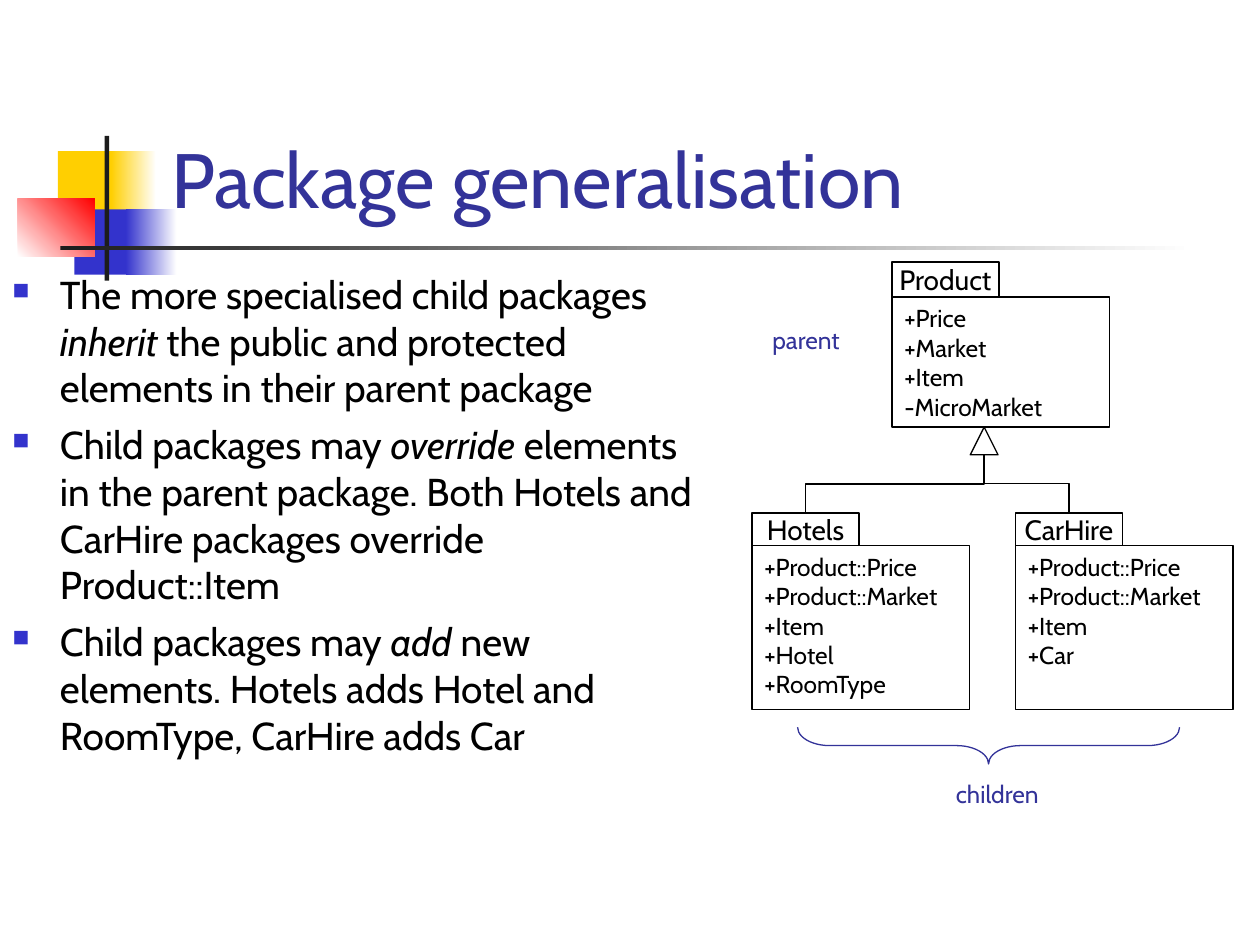
from dataclasses import dataclass

import pptx
import pptx.dml.color
import pptx.enum.shapes
import pptx.enum.text
import pptx.oxml
import pptx.oxml.ns
import pptx.util
from pptx.util import Cm, Pt

FONT = "Cabin"
BLACK, WHITE, DARK = "000000", "FFFFFF", "1C1C1C"
INDIGO, BLUE, YELLOW, RED = "333399", "3333CC", "FFCF01", "FF0000"

SHAPES = pptx.enum.shapes.MSO_SHAPE
ANCHOR = pptx.enum.text.MSO_ANCHOR
ALIGN = pptx.enum.text.PP_ALIGN

PACKAGE_WIDTH, TAB_WIDTH = 4.39, 2.16


@dataclass
class Area:
    """Left, top, width and height in centimetres."""
    left: float
    top: float
    width: float
    height: float

    def lengths(self) -> list:
        return [Cm(n) for n in (self.left, self.top, self.width, self.height)]


@dataclass
class Ornament:
    area: Area
    start: str
    end: str = ""
    angle: float = 0


@dataclass
class Package:
    name: str
    left: float
    top: float
    tab_height: float
    height: float
    members: list[str]


@dataclass
class Label:
    words: str
    area: Area


ORNAMENTS = [
    Ornament(Area(1.17, 3.05, 1.22, 1.32), YELLOW),
    Ornament(Area(2.24, 3.05, 0.91, 1.32), YELLOW, WHITE),
    Ornament(Area(1.5, 4.22, 1.17, 1.32), BLUE),
    Ornament(Area(2.54, 4.22, 1.02, 1.32), BLUE, WHITE),
    Ornament(Area(0.36, 4.01, 1.55, 1.17), WHITE, RED, 45),
    Ornament(Area(2.11, 2.74, 0.09, 2.92), DARK),
    Ornament(Area(1.22, 4.95, 22.86, 0.09), DARK, WHITE),
]

# Each bullet is plain text, an italic word, then plain text.
BULLETS = [
    ("The more specialised child packages ", "inherit",
     " the public and protected elements in their parent package"),
    ("Child packages may ", "override",
     " elements in the parent package. Both Hotels and CarHire packages"
     " override Product::Item"),
    ("Child packages may ", "add",
     " new elements. Hotels adds Hotel and RoomType, CarHire adds Car"),
]

INHERITED = ["+Product::Price", "+Product::Market", "+Item"]
PARENT = Package("Product", 17.98, 5.28, 0.71, 2.62,
                 ["+Price", "+Market", "+Item", "-MicroMarket"])
CHILDREN = [
    Package("Hotels", 15.16, 10.34, 0.66, 3.3,
            INHERITED + ["+Hotel", "+RoomType"]),
    Package("CarHire", 20.47, 10.34, 0.66, 3.3, INHERITED + ["+Car"]),
]
LABELS = [
    Label("children", Area(17.17, 15.57, 5.87, 0.86)),
    Label("parent", Area(14.6, 6.43, 3.3, 0.86)),
]
ARROW = Area(19.56, 8.61, 0.56, 0.56)
BRACE = Area(19.56, 11.18, 0.74, 7.7)


def color(value: str) -> pptx.dml.color.RGBColor:
    return pptx.dml.color.RGBColor.from_string(value)


def style_text(frame, size: float, value: str, align=ALIGN.LEFT) -> None:
    for para in frame.paragraphs:
        para.alignment = align
        for span in para.runs:
            span.font.name = FONT
            span.font.size = Pt(size)
            span.font.color.rgb = color(value)


def add_outline(page, kind, area: Area, value: str = BLACK):
    """Add an unfilled shape with a thin line."""
    shape = page.shapes.add_shape(kind, *area.lengths())
    shape.shadow.inherit = False
    shape.fill.background()
    shape.line.color.rgb = color(value)
    shape.line.width = Pt(0.75)
    return shape


def add_ornament(page, ornament: Ornament) -> None:
    shape = page.shapes.add_shape(SHAPES.RECTANGLE, *ornament.area.lengths())
    shape.shadow.inherit = False
    shape.line.fill.background()
    if not ornament.end:
        shape.fill.solid()
        shape.fill.fore_color.rgb = color(ornament.start)
        return
    shape.fill.gradient()
    shape.fill.gradient_angle = ornament.angle
    for stop, value in zip(shape.fill.gradient_stops, (ornament.start, ornament.end)):
        stop.color.rgb = color(value)


def add_text(page, area: Area, words: str):
    frame = page.shapes.add_textbox(*area.lengths()).text_frame
    frame.word_wrap = True
    frame.text = words
    return frame


def add_bullet_mark(para) -> None:
    properties = para._p.get_or_add_pPr()
    properties.set("marL", str(Cm(0.96)))
    properties.set("indent", str(Cm(-0.96)))
    namespace = pptx.oxml.ns.nsdecls("a")
    for mark in (
        f'<a:buClr {namespace}><a:srgbClr val="{BLUE}"/></a:buClr>',
        f'<a:buSzPct {namespace} val="60000"/>',
        f'<a:buChar {namespace} char="■"/>',
    ):
        properties.append(pptx.oxml.parse_xml(mark))


def add_bullets(page) -> None:
    frame = add_text(page, Area(0, 5.33, 14.33, 12.88), "")
    for index, parts in enumerate(BULLETS):
        para = frame.add_paragraph() if index else frame.paragraphs[0]
        para.space_before = Pt(6)
        add_bullet_mark(para)
        for position, words in enumerate(parts):
            span = para.add_run()
            span.text = words
            span.font.italic = position == 1
    style_text(frame, 22.2, BLACK)


def add_package(page, package: Package) -> None:
    body_top = package.top + package.tab_height
    body = Area(package.left, body_top, PACKAGE_WIDTH, package.height)
    tab = Area(package.left, package.top, TAB_WIDTH, package.tab_height)
    for area, words, size, align, anchor in (
        (body, "\n".join(package.members), 14, ALIGN.LEFT, ANCHOR.TOP),
        (tab, package.name, 16, ALIGN.CENTER, ANCHOR.MIDDLE),
    ):
        frame = add_outline(page, SHAPES.RECTANGLE, area).text_frame
        frame.word_wrap = False
        frame.vertical_anchor = anchor
        frame.text = words
        style_text(frame, size, BLACK, align)


def add_generalisation(page, child: Package) -> None:
    """Join a child's tab to the arrow with a vertical-first elbow."""
    start_x, start_y = child.left + TAB_WIDTH / 2, child.top
    end_x, end_y = ARROW.left + ARROW.width / 2, ARROW.top + ARROW.height
    middle_x, middle_y = (start_x + end_x) / 2, (start_y + end_y) / 2
    side = 1 if end_x > start_x else -1
    across = side * (start_y - end_y) / 2
    along = abs(end_x - start_x) / 2
    connector = page.shapes.add_connector(
        pptx.enum.shapes.MSO_CONNECTOR.ELBOW,
        Cm(middle_x + across), Cm(middle_y + along),
        Cm(middle_x - across), Cm(middle_y - along))
    connector.line.color.rgb = color(BLACK)
    connector.line.width = Pt(0.75)
    properties = connector._element.spPr
    properties.find(pptx.oxml.ns.qn("a:xfrm")).set("rot", str(side * 90 % 360 * 60000))
    properties.append(pptx.oxml.parse_xml(
        f'<a:effectLst {pptx.oxml.ns.nsdecls("a")}/>'))


def main() -> None:
    deck = pptx.Presentation()
    deck.slide_width, deck.slide_height = Cm(25.4), Cm(19.05)
    page = deck.slides.add_slide(deck.slide_layouts[6])
    for ornament in ORNAMENTS:
        add_ornament(page, ornament)
    title = add_text(page, Area(3.2, 0.58, 21.64, 4.06), "Package generalisation")
    title.vertical_anchor = ANCHOR.BOTTOM
    style_text(title, 44, INDIGO)
    add_bullets(page)
    for package in [PARENT, *CHILDREN]:
        add_package(page, package)
    arrow = add_outline(page, SHAPES.ISOSCELES_TRIANGLE, ARROW)
    arrow.fill.solid()
    arrow.fill.fore_color.rgb = color(WHITE)
    for child in CHILDREN:
        add_generalisation(page, child)
    brace = add_outline(page, SHAPES.LEFT_BRACE, BRACE, INDIGO)
    brace.rotation = 270
    brace.adjustments[0] = 0.87
    for label in LABELS:
        frame = add_text(page, label.area, label.words)
        frame.auto_size = pptx.enum.text.MSO_AUTO_SIZE.SHAPE_TO_FIT_TEXT
        style_text(frame, 14, INDIGO, ALIGN.CENTER)
    deck.save("out.pptx")


if __name__ == "__main__":
    main()
